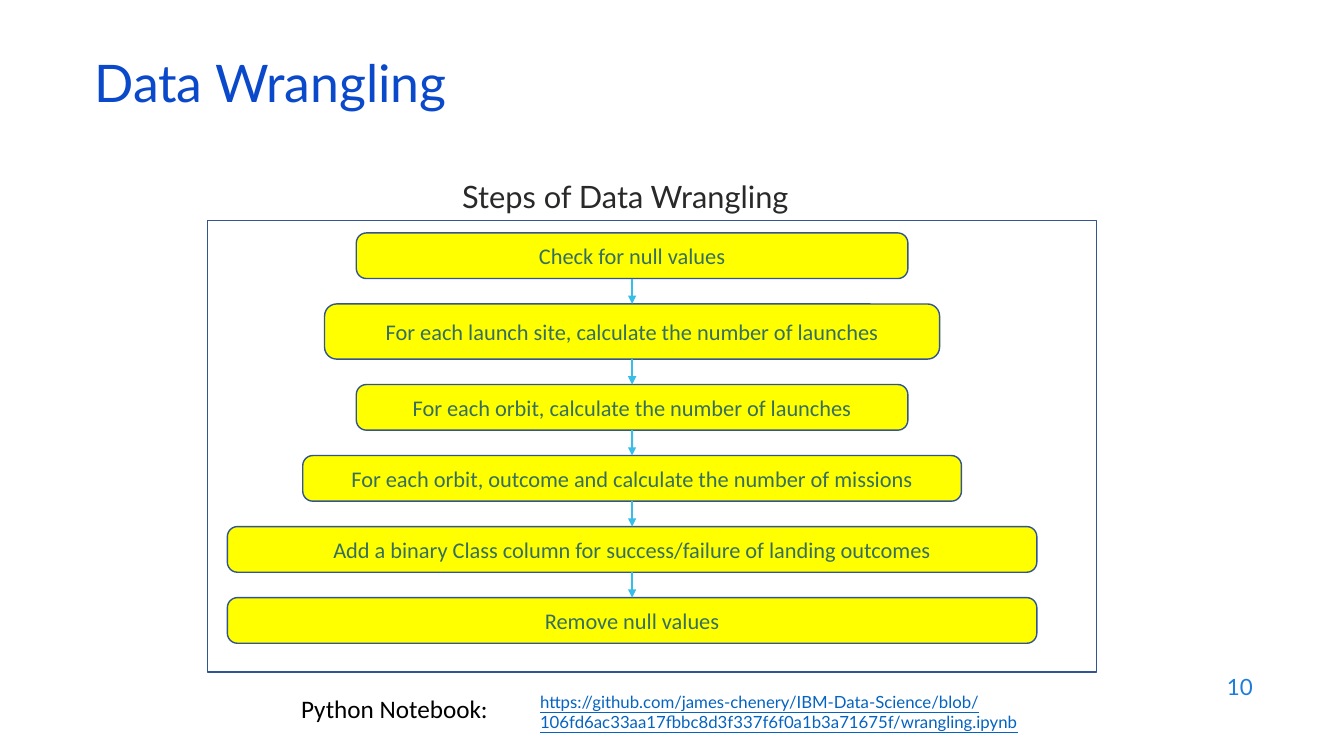
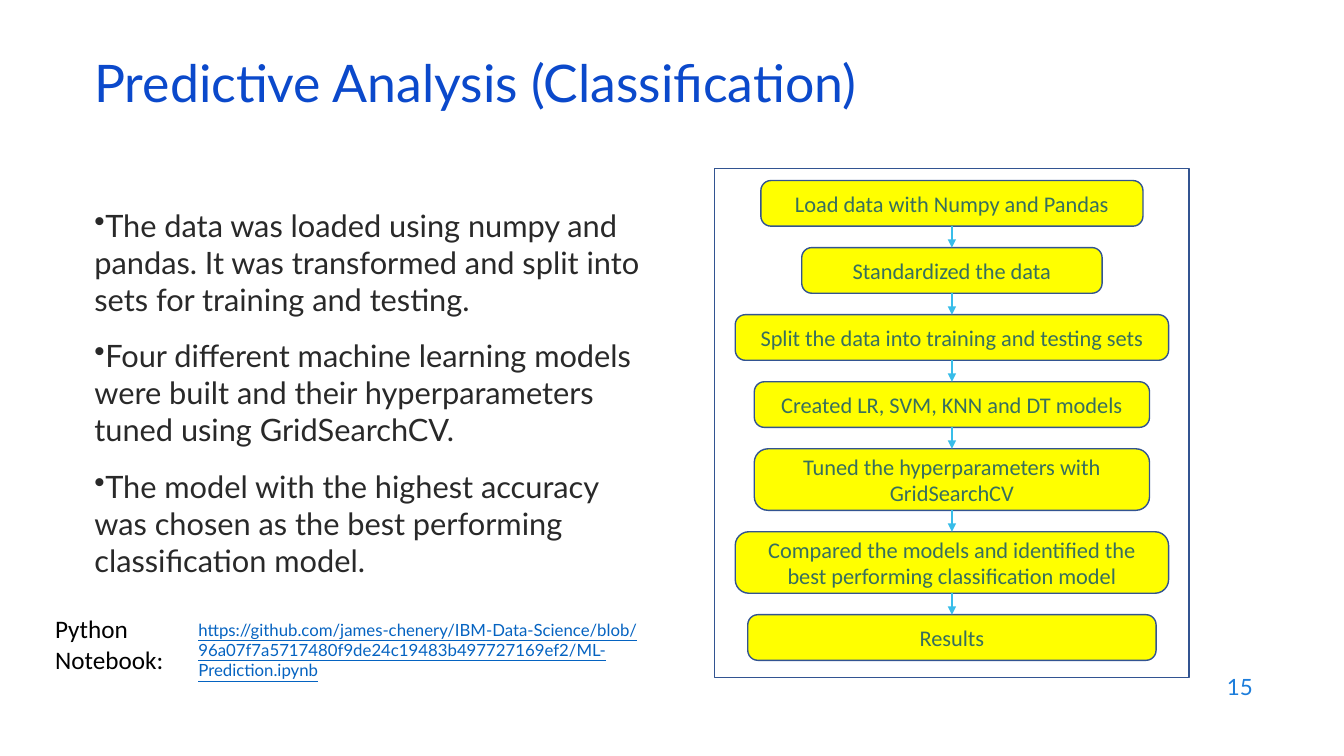
from lxml.etree import SubElement
from pptx import Presentation
from pptx.dml.color import RGBColor
from pptx.enum.shapes import MSO_CONNECTOR as Connector, MSO_SHAPE as Shape
from pptx.enum.text import MSO_ANCHOR as Anchor, PP_ALIGN as Align
from pptx.oxml.ns import qn
from pptx.util import Cm, Pt

TITLE_BLUE, NUMBER_BLUE, LINK_BLUE = "0B49CB", "1C7DDB", "0563C1"
BODY_GREY, BLACK, WHITE = "292929", "000000", "FFFFFF"
STEP_FILL, STEP_TEXT, OUTLINE, ARROW = "FFFF00", "376F5E", "325491", "38BDE9"
HEADING_FONT, STEP_FONT = "Lato", "Calibri"
STEP_HEIGHT = 1.15

# Boxes are left, top, width, height in cm; steps are text, width, height.
PAGES = [
    {
        "title": "Data Wrangling",
        "number": "10",
        "body": ["Steps of Data Wrangling"],
        "body_box": (11.4, 4.47, 9.02, 1.14),
        "body_spacing": 0.9,
        "bulleted": False,
        "frame": (5.23, 5.56, 22.4, 11.38),
        "center": 15.93,
        "first_top": 5.87,
        "gap": 0.64,
        "steps": [
            ("Check for null values", 13.9, STEP_HEIGHT),
            ("For each launch site, calculate the number of launches", 15.5, 1.39),
            ("For each orbit, calculate the number of launches", 13.9, STEP_HEIGHT),
            ("For each orbit, outcome and calculate the number of missions", 16.6, STEP_HEIGHT),
            ("Add a binary Class column for success/failure of landing outcomes", 20.4, STEP_HEIGHT),
            ("Remove null values", 20.4, STEP_HEIGHT),
        ],
        "label_box": (7.34, 17.35, 6.3, 1.02),
        "link": "https://github.com/james-chenery/IBM-Data-Science/blob/"
                "106fd6ac33aa17fbbc8d3f337f6f0a1b3a71675f/wrangling.ipynb",
        "link_box": (13.36, 17.3, 16.94, 1.5),
    },
    {
        "title": "Predictive Analysis (Classification)",
        "number": "15",
        "body": [
            "The data was loaded using numpy and pandas. It was transformed and "
            "split into sets for training and testing.",
            "Four different machine learning models were built and their "
            "hyperparameters tuned using GridSearchCV.",
            "The model with the highest accuracy was chosen as the best "
            "performing classification model.",
        ],
        "body_box": (2.13, 5.08, 14.35, 9.88),
        "body_spacing": 1.0,
        "bulleted": True,
        "frame": (18.01, 4.24, 11.96, 12.83),
        "center": 23.99,
        "first_top": 4.55,
        "gap": 0.54,
        "steps": [
            ("Load data with Numpy and Pandas", 9.63, STEP_HEIGHT),
            ("Standardized the data", 7.57, STEP_HEIGHT),
            ("Split the data into training and testing sets", 10.92, STEP_HEIGHT),
            ("Created LR, SVM, KNN and DT models", 9.96, STEP_HEIGHT),
            ("Tuned the hyperparameters with GridSearchCV", 9.96, 1.55),
            ("Compared the models and identified the best performing "
             "classification model", 10.92, 1.55),
            ("Results", 10.29, STEP_HEIGHT),
        ],
        "label_box": (1.14, 15.34, 3.5, 1.8),
        "link": "https://github.com/james-chenery/IBM-Data-Science/blob/"
                "96a07f7a5717480f9de24c19483b497727169ef2/ML-Prediction.ipynb",
        "link_box": (4.75, 15.49, 12.73, 1.5),
    },
]


def add_text(slide, texts, box, size, color, font=HEADING_FONT, anchor=Anchor.TOP,
             align=Align.LEFT, spacing=1.0, bulleted=False, underline=False):
    frame = slide.shapes.add_textbox(*map(Cm, box)).text_frame
    frame.word_wrap = True
    frame.vertical_anchor = anchor
    for index, text in enumerate(texts):
        paragraph = frame.add_paragraph() if index else frame.paragraphs[0]
        paragraph.text = text
        paragraph.alignment = align
        paragraph.line_spacing = spacing
        if index:
            paragraph.space_before = Pt(14)
        if bulleted:
            SubElement(paragraph._p.get_or_add_pPr(), qn("a:buChar"), char="•")
        paragraph.font.name = font
        paragraph.font.size = Pt(size)
        paragraph.font.underline = underline
        paragraph.font.color.rgb = RGBColor.from_string(color)


def add_outlined(slide, kind, box, fill):
    shape = slide.shapes.add_shape(kind, *map(Cm, box))
    shape.shadow.inherit = False
    shape.fill.solid()
    shape.fill.fore_color.rgb = RGBColor.from_string(fill)
    shape.line.color.rgb = RGBColor.from_string(OUTLINE)
    shape.line.width = Pt(1)
    return shape


deck = Presentation()
deck.slide_width, deck.slide_height = Cm(33.87), Cm(19.05)

for page in PAGES:
    slide = deck.slides.add_slide(deck.slide_layouts[6])
    add_text(slide, [page["number"]], (24.2, 16.74, 7.62, 1.12), 16, NUMBER_BLUE,
             anchor=Anchor.MIDDLE, align=Align.RIGHT)
    add_text(slide, page["body"], page["body_box"], 22, BODY_GREY,
             spacing=page["body_spacing"], bulleted=page["bulleted"])
    add_text(slide, [page["title"]], (2.13, 1.5, 29.2, 1.52), 37, TITLE_BLUE,
             anchor=Anchor.MIDDLE, spacing=0.7)

    add_outlined(slide, Shape.RECTANGLE, page["frame"], WHITE)
    top = page["first_top"]
    previous = None
    for text, width, height in page["steps"]:
        step = add_outlined(slide, Shape.ROUNDED_RECTANGLE,
                            (page["center"] - width / 2, top, width, height), STEP_FILL)
        step.adjustments[0] = 0.22
        frame = step.text_frame
        frame.word_wrap = True
        frame.margin_left = frame.margin_right = Cm(0.3)
        frame.vertical_anchor = Anchor.MIDDLE
        paragraph = frame.paragraphs[0]
        paragraph.text = text
        paragraph.alignment = Align.CENTER
        paragraph.font.name = STEP_FONT
        paragraph.font.size = Pt(16)
        paragraph.font.color.rgb = RGBColor.from_string(STEP_TEXT)

        if previous is not None:
            arrow = slide.shapes.add_connector(Connector.STRAIGHT, 0, 0, 0, 0)
            arrow.begin_connect(previous, 2)
            arrow.end_connect(step, 0)
            arrow.line.color.rgb = RGBColor.from_string(ARROW)
            arrow.line.width = Pt(1.5)
            SubElement(arrow.line._get_or_add_ln(), qn("a:tailEnd"), type="triangle")
            SubElement(arrow._element.spPr, qn("a:effectLst"))
        previous = step
        top += height + page["gap"]

    add_text(slide, [page["link"]], page["link_box"], 12, LINK_BLUE, underline=True)
    add_text(slide, ["Python Notebook:"], page["label_box"], 18, BLACK, font=STEP_FONT)

deck.save("out.pptx")
